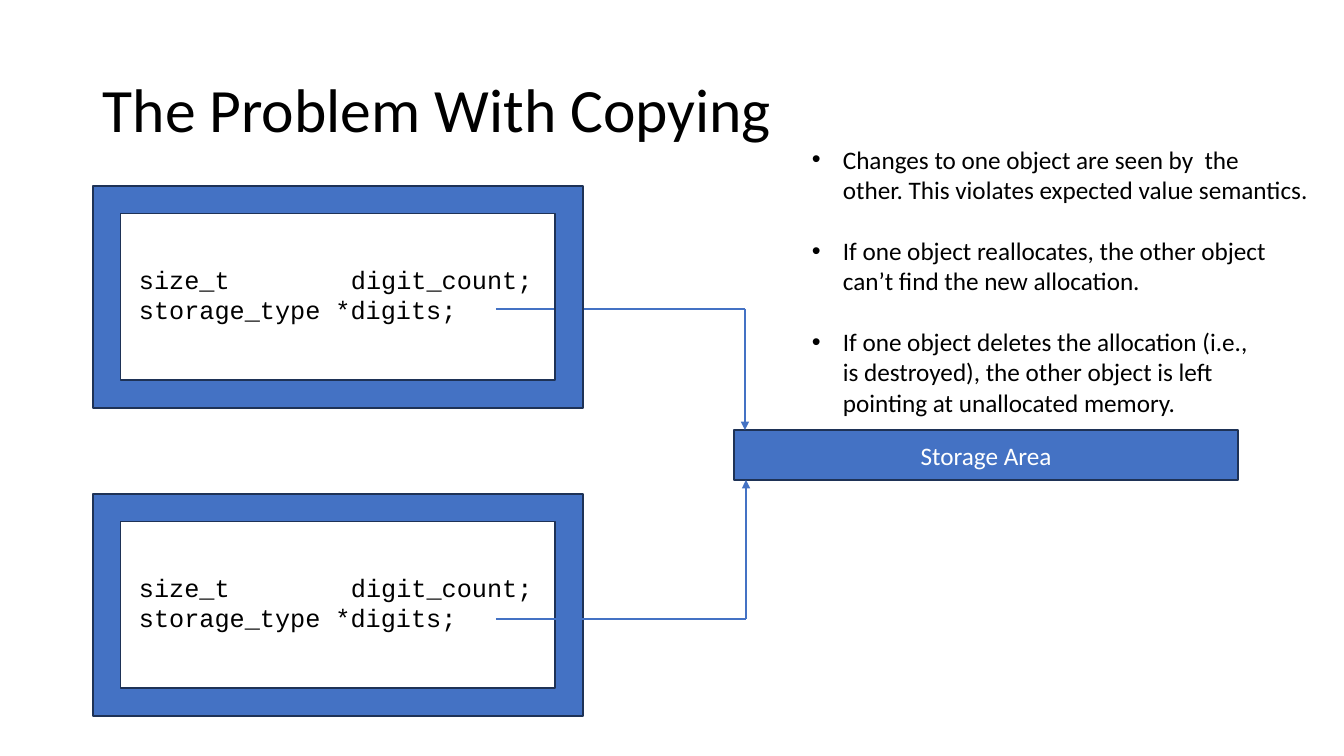
from dataclasses import dataclass

from lxml import etree
from pptx import Presentation
from pptx import util as u
from pptx.dml.color import RGBColor
from pptx.enum import shapes, text
from pptx.oxml import ns

PX = 914400 / 100.8


@dataclass(frozen=True)
class Theme:
    accent: str = "4472C4"
    outline: str = "1E3256"
    ink: str = "000000"
    paper: str = "FFFFFF"
    body_font: str = "Calibri"
    code_font: str = "Courier New"
    title_size: int = 44
    text_size: int = 18
    paragraph_gap: int = 22
    outline_width: int = 1
    pointer_width: int = 2


THEME = Theme()

FIELDS = ["size_t\tdigit_count;", "storage_type *digits;"]
FIELD_TAB = 212
BULLET_INDENT = 31
PROBLEMS = [
    "Changes to one object are seen by  the\v"
    "other. This violates expected value semantics.",
    "If one object reallocates, the other object\v"
    "can’t find the new allocation.",
    "If one object deletes the allocation (i.e.,\v"
    "is destroyed), the other object is left\v"
    "pointing at unallocated memory.",
]


def px(length):
    return u.Emu(round(length * PX))


def color(value):
    return RGBColor.from_string(value)


def write_text(shape, lines, font, size, ink):
    """Fill a shape with one paragraph per line and format its runs."""
    shape.text_frame.word_wrap = True
    shape.text_frame.text = "\n".join(lines)
    for paragraph in shape.text_frame.paragraphs:
        for run in paragraph.runs:
            run.font.name = font
            run.font.size = u.Pt(size)
            run.font.color.rgb = color(ink)
    return shape.text_frame


def add_text(slide, box, lines, font=THEME.body_font, size=THEME.text_size):
    shape = slide.shapes.add_textbox(*map(px, box))
    return write_text(shape, lines, font, size, THEME.ink)


def add_title(slide, box, title):
    frame = add_text(slide, box, [title], size=THEME.title_size)
    frame.vertical_anchor = text.MSO_ANCHOR.MIDDLE
    frame.paragraphs[0].line_spacing = 0.9


def add_fields(slide, left, top):
    """Member declarations, with the first name aligned by a tab stop."""
    frame = add_text(slide, (left, top, 415, 72), FIELDS, THEME.code_font)
    properties = frame.paragraphs[0]._p.get_or_add_pPr()
    tabs = etree.SubElement(properties, ns.qn("a:tabLst"))
    etree.SubElement(tabs, ns.qn("a:tab"), pos=str(px(FIELD_TAB)), algn="l")


def add_bullets(slide, box, items):
    frame = add_text(slide, box, items)
    for paragraph in frame.paragraphs:
        paragraph.space_after = u.Pt(THEME.paragraph_gap)
        properties = paragraph._p.get_or_add_pPr()
        properties.set("marL", str(px(BULLET_INDENT)))
        properties.set("indent", str(-px(BULLET_INDENT)))
        etree.SubElement(properties, ns.qn("a:buFont"), typeface="Arial")
        etree.SubElement(properties, ns.qn("a:buChar"), char="•")


def add_block(slide, kind, box):
    shape = slide.shapes.add_shape(kind, *map(px, box))
    shape.shadow.inherit = False
    shape.fill.solid()
    shape.fill.fore_color.rgb = color(THEME.accent)
    shape.line.color.rgb = color(THEME.outline)
    shape.line.width = u.Pt(THEME.outline_width)
    return shape


def add_object_frame(slide, top):
    add_block(slide, shapes.MSO_SHAPE.FRAME, (93, top, 490, 222))


def add_storage(slide, box, label):
    shape = add_block(slide, shapes.MSO_SHAPE.RECTANGLE, box)
    frame = write_text(shape, [label], THEME.body_font, THEME.text_size, THEME.paper)
    frame.vertical_anchor = text.MSO_ANCHOR.MIDDLE
    frame.paragraphs[0].alignment = text.PP_ALIGN.CENTER


def add_line(slide, start, end, arrow=False):
    line = slide.shapes.add_connector(
        shapes.MSO_CONNECTOR.STRAIGHT, *map(px, (*start, *end)))
    line.line.color.rgb = color(THEME.accent)
    line.line.width = u.Pt(THEME.pointer_width)
    if arrow:
        etree.SubElement(line.line._get_or_add_ln(), ns.qn("a:tailEnd"), type="triangle")
    etree.SubElement(line._element.spPr, ns.qn("a:effectLst"))


def add_pointer(slide, y, turn, target):
    """Line out of the digits member, then an arrow to the storage edge."""
    add_line(slide, (496, y), (turn, y))
    add_line(slide, (turn, y), (turn, target), arrow=True)


def main():
    presentation = Presentation()
    presentation.slide_width, presentation.slide_height = px(1344), px(756)
    slide = presentation.slides.add_slide(presentation.slide_layouts[6])

    add_title(slide, (93, 40, 1159, 146), "The Problem With Copying")

    # Shared storage
    add_storage(slide, (734, 430, 504, 50), "Storage Area")

    # First object: its frame covers the pointer
    add_fields(slide, 129, 259)
    add_pointer(slide, 309, 745, 430)
    add_object_frame(slide, 186)

    # Second object: its pointer lies over the frame
    add_fields(slide, 129, 567)
    add_object_frame(slide, 494)
    add_pointer(slide, 619, 746, 480)

    # Consequences
    add_bullets(slide, (802, 139, 522, 285), PROBLEMS)

    presentation.save("out.pptx")


if __name__ == "__main__":
    main()
